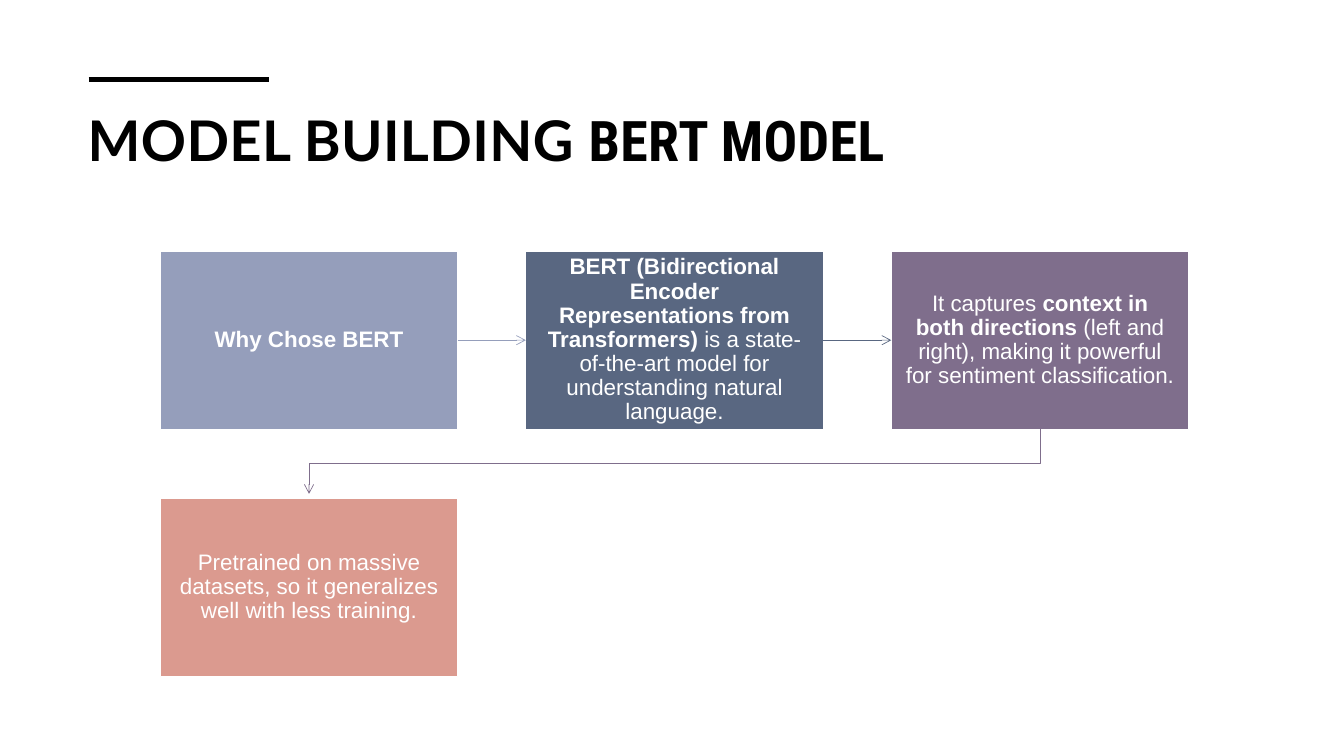
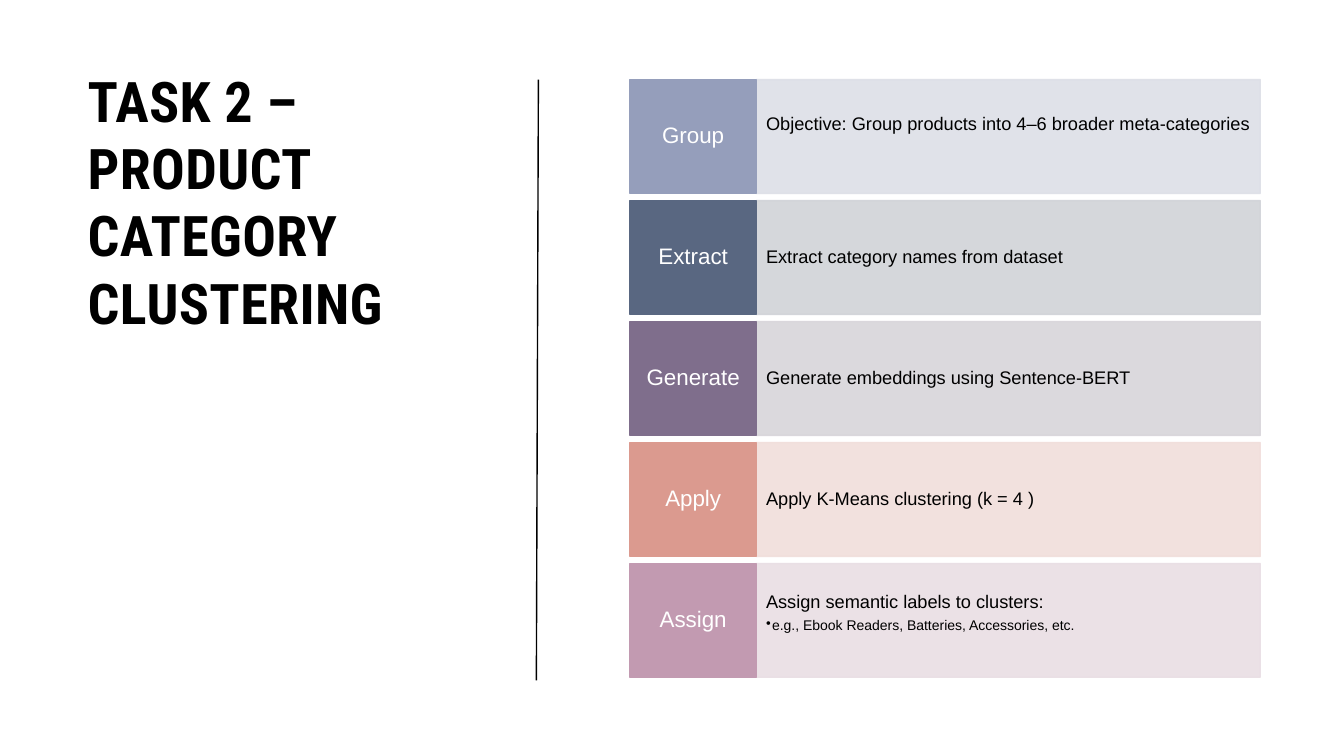
from lxml import etree
from pptx import Presentation
from pptx.dml.color import RGBColor
from pptx.enum.shapes import MSO_CONNECTOR, MSO_SHAPE
from pptx.enum.text import MSO_ANCHOR, MSO_AUTO_SIZE, PP_ALIGN
from pptx.oxml.ns import qn
from pptx.util import Inches, Pt

RECT, STRAIGHT = MSO_SHAPE.RECTANGLE, MSO_CONNECTOR.STRAIGHT
TOP, MIDDLE = MSO_ANCHOR.TOP, MSO_ANCHOR.MIDDLE
LEFT, CENTER = PP_ALIGN.LEFT, PP_ALIGN.CENTER
NO_FIT = MSO_AUTO_SIZE.NONE

BLACK = RGBColor(0x00, 0x00, 0x00)
WHITE = RGBColor(0xFF, 0xFF, 0xFF)
BLUE = RGBColor(0x95, 0x9E, 0xBB)
SLATE = RGBColor(0x59, 0x67, 0x81)
PURPLE = RGBColor(0x7F, 0x6E, 0x8C)
CORAL = RGBColor(0xDB, 0x9A, 0x8F)
PINK = RGBColor(0xC2, 0x9A, 0xB1)
PALE_BLUE = RGBColor(0xDD, 0xDF, 0xE7)
PALE_SLATE = RGBColor(0xD1, 0xD3, 0xD8)
PALE_PURPLE = RGBColor(0xD8, 0xD5, 0xDA)
PALE_CORAL = RGBColor(0xF1, 0xDE, 0xDB)
PALE_PINK = RGBColor(0xE9, 0xDE, 0xE4)

TITLE_FONT, TITLE_ALT_FONT, BODY_FONT = "Roboto Condensed", "Lato", "Arial"
TITLE_SIZE, LABEL_SIZE, DETAIL_SIZE, BULLET_SIZE = 40, 16, 13, 10


class Deck:
    def __init__(self):
        self.prs = Presentation()
        self.prs.slide_width = Inches(13.33)
        self.prs.slide_height = Inches(7.5)
        self.s = None

    def run(self, p, text, size, color, font=BODY_FONT, bold=False):
        r = p.add_run()
        r.text = text
        r.font.size, r.font.name, r.font.bold = Pt(size), font, bold
        r.font.color.rgb = color
        return r

    def slide(self, title, x, y, w, h):
        """Start a slide; title is a list of (text, font)."""
        self.s = self.prs.slides.add_slide(self.prs.slide_layouts[5])
        sp = self.s.shapes.title
        sp.left, sp.top, sp.width, sp.height = map(Inches, (x, y, w, h))
        tf = sp.text_frame
        tf.auto_size, tf.vertical_anchor, tf.word_wrap = NO_FIT, TOP, True
        p = tf.paragraphs[0]
        p.alignment = LEFT
        for text, font in title:
            r = self.run(p, text, TITLE_SIZE, BLACK, font, True)
            r.font._element.set("spc", "30")

    def box(self, x, y, w, h, fill, line, alpha=None):
        sp = self.s.shapes.add_shape(RECT, *map(Inches, (x, y, w, h)))
        sp.shadow.inherit = False
        sp.fill.solid()
        sp.fill.fore_color.rgb = fill
        sp.line.color.rgb = line
        sp.line.width = Pt(1)
        if alpha:
            for clr in sp._element.spPr.iter(qn("a:srgbClr")):
                etree.SubElement(clr, qn("a:alpha"), val=str(alpha * 1000))
        return sp

    def frame(self, sp, insets, anchor=MIDDLE):
        tf = sp.text_frame
        tf.word_wrap, tf.vertical_anchor = True, anchor
        (tf.margin_left, tf.margin_top,
         tf.margin_right, tf.margin_bottom) = map(Inches, insets)
        return tf

    def text(self, p, runs, size, color, align, after=0.35):
        """Fill a paragraph with (text, bold) runs."""
        p.alignment, p.line_spacing = align, 0.9
        p.space_after = Pt(round(size * after, 1))
        for text, bold in runs:
            self.run(p, text, size, color, bold=bold)

    def bullet(self, p, indent):
        pPr = p._p.get_or_add_pPr()
        pPr.set("marL", str(Inches(indent)))
        pPr.set("indent", str(-Inches(indent)))
        etree.SubElement(pPr, qn("a:buChar"), char="•")

    def line(self, x1, y1, x2, y2, color, width):
        c = self.s.shapes.add_connector(STRAIGHT, *map(Inches, (x1, y1, x2, y2)))
        c.line.color.rgb, c.line.width = color, Pt(width)
        etree.SubElement(c._element.spPr, qn("a:effectLst"))
        return c

    def arrowhead(self, sp):
        etree.SubElement(sp.line._get_or_add_ln(), qn("a:tailEnd"), type="arrow")

    def join(self, a, b, color):
        """Arrow from the right side of a to the left side of b."""
        c = self.line(0, 0, 1, 1, color, 0.5)
        c.begin_connect(a, 3)
        c.end_connect(b, 1)
        self.arrowhead(c)

    def bent_arrow(self, points, color):
        pts = [(Inches(x), Inches(y)) for x, y in points]
        fb = self.s.shapes.build_freeform(*pts[0])
        fb.add_line_segments(pts[1:], close=False)
        sp = fb.convert_to_shape()
        sp.shadow.inherit = False
        sp.fill.background()
        sp.line.color.rgb, sp.line.width = color, Pt(0.5)
        self.arrowhead(sp)


def model_slide(d):
    d.slide([("MODEL BUILDING ", TITLE_ALT_FONT), ("BERT MODEL", TITLE_FONT)],
            0.77, 1, 11.81, 1.15)
    d.line(0.88, 0.79, 2.67, 0.79, BLACK, 3.5)

    # Boxes, three to a row
    steps = [
        (BLUE, [("Why Chose BERT", True)]),
        (SLATE, [("BERT (Bidirectional Encoder Representations from Transformers)", True),
                 (" is a state-of-the-art model for understanding natural language.", False)]),
        (PURPLE, [("It captures ", False), ("context in both directions", True),
                  (" (left and right), making it powerful for sentiment classification.", False)]),
        (CORAL, [("Pretrained on massive datasets, so it generalizes well "
                  "with less training.", False)]),
    ]
    x0, y0, w, h, dx, dy = 1.59, 2.49, 2.95, 1.77, 3.625, 2.45
    boxes = []
    for i, (color, runs) in enumerate(steps):
        row, col = divmod(i, 3)
        sp = d.box(x0 + col * dx, y0 + row * dy, w, h, color, WHITE)
        tf = d.frame(sp, (0.14, 0.15, 0.14, 0.15))
        d.text(tf.paragraphs[0], runs, LABEL_SIZE, WHITE, CENTER)
        boxes.append(sp)

    # Arrows along the row, then down to the next one
    d.join(boxes[0], boxes[1], BLUE)
    d.join(boxes[1], boxes[2], SLATE)
    first, last = x0 + w / 2, x0 + 2 * dx + w / 2
    d.bent_arrow([(last, y0 + h), (last, 4.6), (first, 4.6), (first, 4.9)], PURPLE)


def clustering_slide(d):
    d.slide([("TASK 2 – PRODUCT CATEGORY CLUSTERING", TITLE_FONT)],
            0.77, 0.61, 3.96, 4.99)
    d.line(5.32, 6.75, 5.34, 0.79, BLACK, 1)

    # Rows: label, detail, colours, bottom inset, sub-bullet
    rows = [
        ("Group", "Objective: Group products into 4–6 broader meta-categories",
         BLUE, PALE_BLUE, 0.52, None),
        ("Extract", "Extract category names from dataset", SLATE, PALE_SLATE, 0.29, None),
        ("Generate", "Generate embeddings using Sentence-BERT",
         PURPLE, PALE_PURPLE, 0.29, None),
        ("Apply", "Apply K-Means clustering (k = 4 )", CORAL, PALE_CORAL, 0.29, None),
        ("Assign", "Assign semantic labels to clusters:", PINK, PALE_PINK, 0.29,
         "e.g., Ebook Readers, Batteries, Accessories, etc."),
    ]
    x, y0, label_w, detail_w, h, pitch = 6.25, 0.79, 1.25, 5, 1.13, 1.2
    for i, (label, detail, color, pale, bottom, sub) in enumerate(rows):
        y = y0 + i * pitch
        sp = d.box(x + label_w, y, detail_w, h, pale, pale, 90)
        tf = d.frame(sp, (0.1, 0.29, 0.1, bottom), TOP if sub else MIDDLE)
        d.text(tf.paragraphs[0], [(detail, False)], DETAIL_SIZE, BLACK, LEFT)
        if sub:
            p = tf.add_paragraph()
            p.level = 1
            d.text(p, [(sub, False)], BULLET_SIZE, BLACK, LEFT, 0.15)
            d.bullet(p, 0.06)
        sp = d.box(x, y, label_w, h, color, color)
        tf = d.frame(sp, (0.07, 0.11, 0.07, 0.11))
        d.text(tf.paragraphs[0], [(label, False)], LABEL_SIZE, WHITE, CENTER)


def main():
    d = Deck()
    model_slide(d)
    clustering_slide(d)
    d.prs.save("out.pptx")


if __name__ == "__main__":
    main()
